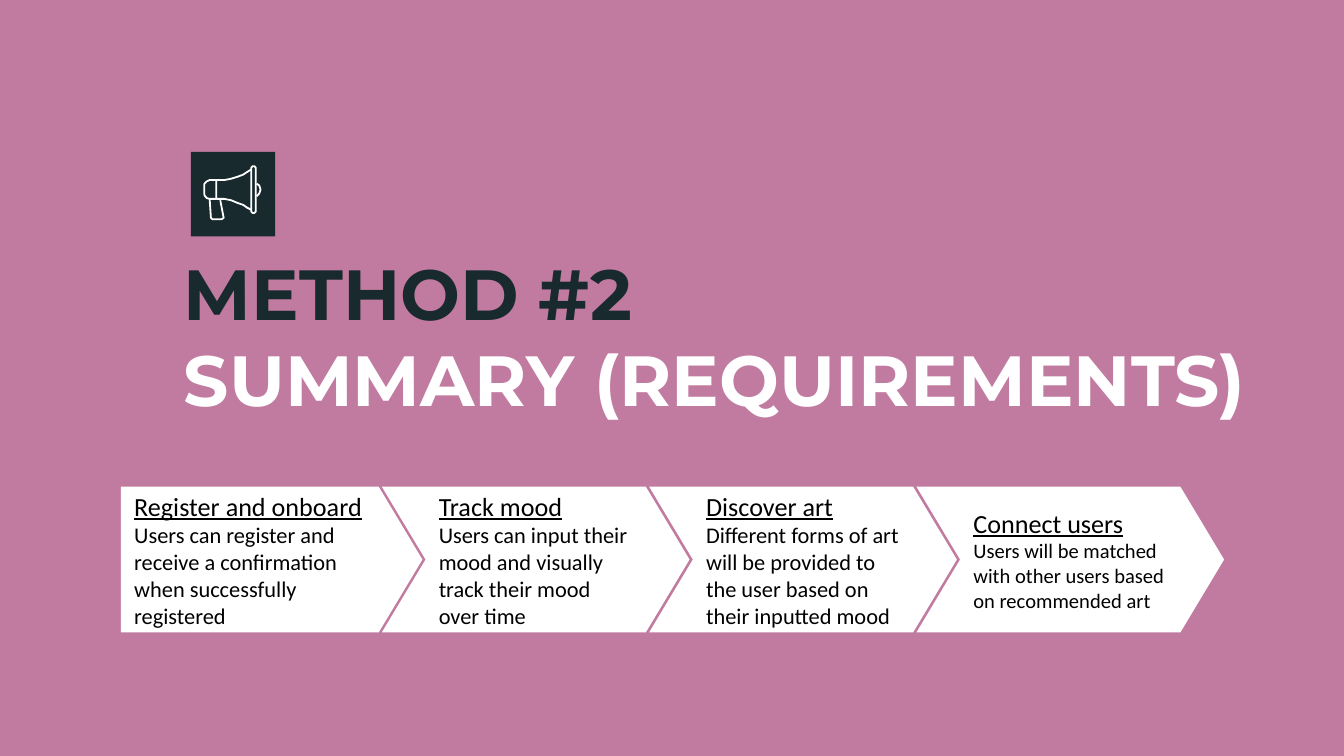
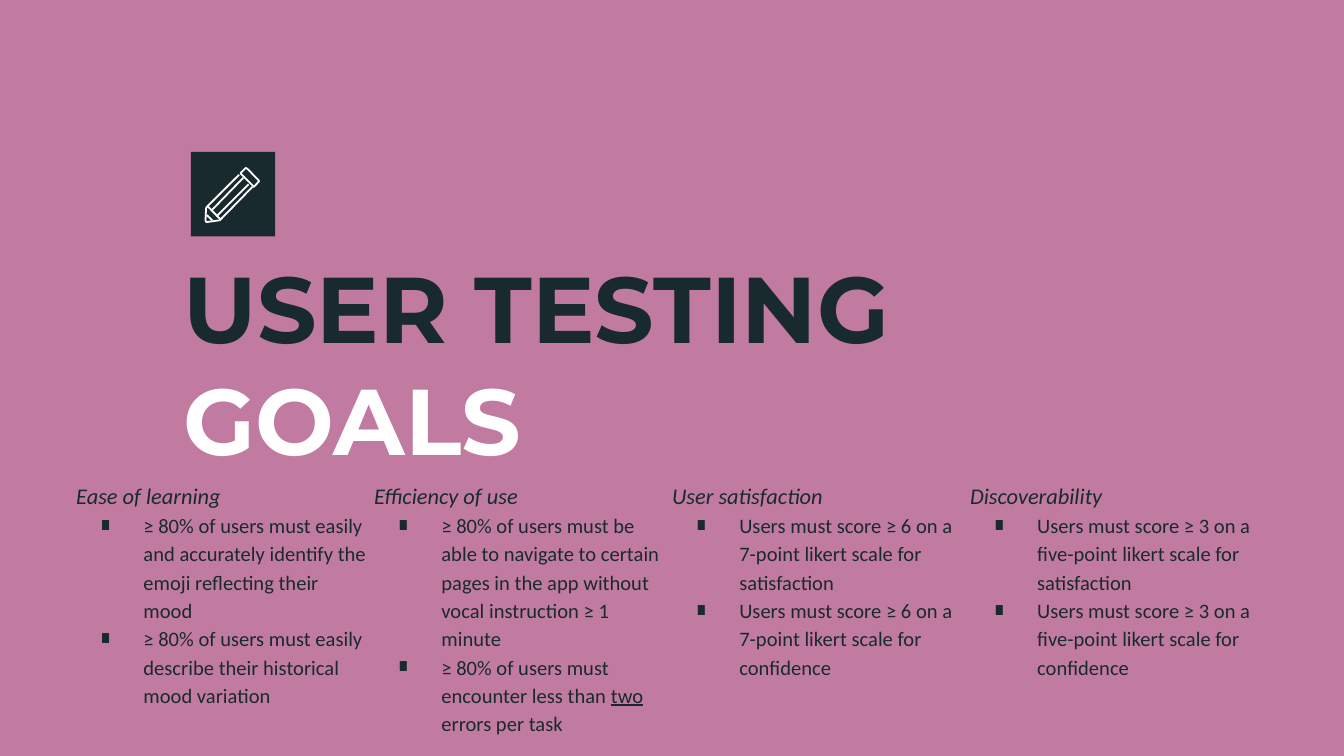
from dataclasses import dataclass

from lxml import etree
from pptx import Presentation
from pptx.dml.color import RGBColor
from pptx.enum.shapes import MSO_CONNECTOR, MSO_SHAPE
from pptx.enum.text import MSO_ANCHOR, PP_ALIGN
from pptx.oxml.ns import qn
from pptx.util import Pt

RECTANGLE = MSO_SHAPE.RECTANGLE
PENTAGON = MSO_SHAPE.PENTAGON
CHEVRON = MSO_SHAPE.CHEVRON
STRAIGHT = MSO_CONNECTOR.STRAIGHT
TOP, MIDDLE = MSO_ANCHOR.TOP, MSO_ANCHOR.MIDDLE
LEFT = PP_ALIGN.LEFT


@dataclass(frozen=True)
class Theme:
    rose: str = "C27BA0"
    ink: str = "182A2E"
    white: str = "FFFFFF"
    black: str = "000000"
    title_font: str = "Montserrat"
    body_font: str = "Calibri"
    summary_title: int = 38
    goals_title: int = 50
    step_heading: int = 14
    goal_heading: int = 12
    goal_text: int = 11
    icon_line: float = 0.96
    inset: float = 7.2


THEME = Theme()
BADGE_LEFT, BADGE_TOP, BADGE_SIZE = 102.2, 81.4, 45.2

STEPS = [
    ("Register and onboard",
     "Users can register and receive a confirmation when successfully registered", 12),
    ("Track mood",
     "Users can input their mood and visually track their mood over time", 12),
    ("Discover art",
     "Different forms of art will be provided to the user based on their inputted mood", 12),
    ("Connect users",
     "Users will be matched with other users based on recommended art", 11),
]

GOALS = [
    ("Ease of learning", [
        [("≥ 80% of users must easily and accurately identify the emoji reflecting their mood", False)],
        [("≥ 80% of users must easily describe their historical mood variation", False)],
    ]),
    ("Efficiency of use", [
        [("≥ 80% of users must be able to navigate to certain pages in the app "
          "without vocal instruction ≥ 1 minute", False)],
        [("≥ 80% of users must encounter less than ", False), ("two ", True),
         ("errors per task", False)],
    ]),
    ("User satisfaction", [
        [(f"Users must score ≥ 6 on a 7-point likert scale for {quality}", False)]
        for quality in ("satisfaction", "confidence")
    ]),
    ("Discoverability", [
        [(f"Users must score ≥ 3 on a five-point likert scale for {quality}", False)]
        for quality in ("satisfaction", "confidence")
    ]),
]

HANDLE = [(10.1, 25.2), (10.8, 35.3), (11.5, 36), (16.6, 36), (17.6, 35.3), (15.8, 25.9)]
SOUND = [(35.3, 23.8), (36.7, 22.3), (37.4, 20.2), (36.7, 18), (35.3, 17)]
BACK = [(13.7, 15.1), (10.1, 15.1), (8.4, 15.9), (7.2, 17.3), (7.2, 22.3),
        (7.5, 23.5), (8.6, 24.8), (10.1, 25.2), (13.7, 25.2)]
RIM = [(32.4, 8.6), (33.1, 7.7), (34.2, 7.7), (34.9, 8.6),
       (34.9, 31.9), (34.2, 32.7), (33.1, 32.7), (32.4, 31.9)]
HORN = [(32.4, 9.4), (30.2, 10.8), (28.1, 12.2), (25.2, 13.3), (21.6, 14.4),
        (18, 15.1), (13.7, 15.1), (13.7, 25.2), (18, 25.2), (21.6, 25.9),
        (25.2, 27.4), (28.1, 28.4), (30.2, 29.9), (32.4, 31)]
ERASER = [(36.2, 15.1), (30.5, 9.2), (29.5, 8.6), (28.8, 9.2),
          (26.6, 11.5), (33.8, 18.7), (36.2, 16.2), (36.6, 15.7)]
BARREL = [(25.9, 12.2), (8.6, 29.5), (8.2, 30.2), (7.9, 36.7), (8.2, 37.4),
          (8.6, 37.6), (15.1, 36.7), (15.8, 36.4), (33.1, 18.7)]
COLLAR = [(8.6, 29.5), (9.4, 29.5), (15.8, 36), (15.8, 36.7)]
LOWER_GROOVE = [(31, 17.3), (13.7, 34.6)]
UPPER_GROOVE = [(10.8, 31.7), (28.1, 13.9)]
LEAD = [(11.5, 36.7), (8.6, 33.8)]


def rgb(color):
    return RGBColor.from_string(color)


def add_run(paragraph, text, font, size, color, bold=False, italic=False, underline=False):
    run = paragraph.add_run()
    run.text = text
    run.font.name = font
    run.font.size = Pt(size)
    run.font.color.rgb = rgb(color)
    run.font.bold = bold
    run.font.italic = italic
    run.font.underline = underline


def prepare_frame(shape, anchor):
    frame = shape.text_frame
    frame.word_wrap = True
    frame.vertical_anchor = anchor
    frame.margin_left = frame.margin_right = Pt(THEME.inset)
    frame.margin_top = frame.margin_bottom = Pt(THEME.inset)
    frame.paragraphs[0].alignment = LEFT
    return frame


def add_paragraph(frame):
    paragraph = frame.add_paragraph()
    paragraph.alignment = LEFT
    return paragraph


def add_panel(slide, preset, left, top, width, height, color):
    panel = slide.shapes.add_shape(preset, Pt(left), Pt(top), Pt(width), Pt(height))
    panel.shadow.inherit = False
    panel.fill.solid()
    panel.fill.fore_color.rgb = rgb(color)
    panel.line.fill.background()
    return panel


def add_stroke(slide, points, closed=False):
    spots = [(Pt(BADGE_LEFT + x), Pt(BADGE_TOP + y)) for x, y in points]
    if len(spots) == 2:
        stroke = slide.shapes.add_connector(STRAIGHT, *spots[0], *spots[1])
        etree.SubElement(stroke._element.spPr, qn("a:effectLst"))
    else:
        builder = slide.shapes.build_freeform(*spots[0])
        builder.add_line_segments(spots[1:], close=closed)
        stroke = builder.convert_to_shape()
        stroke.shadow.inherit = False
        stroke.fill.background()
    stroke.line.color.rgb = rgb(THEME.white)
    stroke.line.width = Pt(THEME.icon_line)


def add_title(slide, dark_line, light_line, size, width):
    title = slide.shapes.add_textbox(Pt(91.4), Pt(126.7), Pt(width), Pt(151.9))
    frame = prepare_frame(title, TOP)
    add_run(frame.paragraphs[0], dark_line, THEME.title_font, size, THEME.ink, bold=True)
    add_run(add_paragraph(frame), light_line, THEME.title_font, size, THEME.white, bold=True)


def add_section_slide(deck, title_lines, title_size, title_width, open_strokes, closed_stroke):
    slide = deck.slides.add_slide(deck.slide_layouts[6])
    slide.background.fill.solid()
    slide.background.fill.fore_color.rgb = rgb(THEME.rose)
    add_panel(slide, RECTANGLE, BADGE_LEFT, BADGE_TOP, BADGE_SIZE, BADGE_SIZE, THEME.ink)
    add_title(slide, *title_lines, title_size, title_width)
    for points in open_strokes:
        add_stroke(slide, points)
    add_stroke(slide, closed_stroke, closed=True)
    return slide


def add_step(slide, index, heading, detail, detail_size):
    if index == 0:
        preset, left, width = PENTAGON, 64.8, 161.5
    else:
        preset, left, width = CHEVRON, 204.6 + 143.2 * (index - 1), 164.8
    step = add_panel(slide, preset, left, 260.8, width, 78, THEME.white)
    step.adjustments[0] = 0.3
    frame = prepare_frame(step, MIDDLE)
    add_run(frame.paragraphs[0], heading, THEME.body_font, THEME.step_heading,
            THEME.black, underline=True)
    add_run(add_paragraph(frame), detail, THEME.body_font, detail_size, THEME.black)


def set_bullet(paragraph):
    properties = paragraph._p.get_or_add_pPr()
    properties.set("marL", str(Pt(36)))
    properties.set("indent", str(-Pt(23.8)))
    bullet_color = etree.SubElement(properties, qn("a:buClr"))
    etree.SubElement(bullet_color, qn("a:srgbClr"), val=THEME.ink)
    etree.SubElement(properties, qn("a:buChar"), char="∎")


def add_goal(slide, index, heading, targets):
    column = slide.shapes.add_textbox(Pt(33.8 + 159.6 * index), Pt(249.1), Pt(172.8), Pt(128.9))
    frame = prepare_frame(column, TOP)
    add_run(frame.paragraphs[0], heading, THEME.body_font, THEME.goal_heading,
            THEME.ink, italic=True)
    for target in targets:
        paragraph = add_paragraph(frame)
        set_bullet(paragraph)
        for text, underline in target:
            add_run(paragraph, text, THEME.body_font, THEME.goal_text,
                    THEME.ink, underline=underline)
    for paragraph in frame.paragraphs:
        paragraph.line_spacing = 1.15


def main():
    deck = Presentation()
    deck.slide_width, deck.slide_height = Pt(720), Pt(405)

    summary = add_section_slide(deck, ("METHOD #2", "SUMMARY (REQUIREMENTS)"),
                                THEME.summary_title, 591.1,
                                [HANDLE, SOUND, BACK, HORN], RIM)
    for index, step in enumerate(STEPS):
        add_step(summary, index, *step)

    testing = add_section_slide(deck, ("USER TESTING", "GOALS"),
                                THEME.goals_title, 536.4,
                                [LOWER_GROOVE, BARREL, UPPER_GROOVE, LEAD, COLLAR], ERASER)
    for index, goal in enumerate(GOALS):
        add_goal(testing, index, *goal)

    deck.save("out.pptx")


if __name__ == "__main__":
    main()
